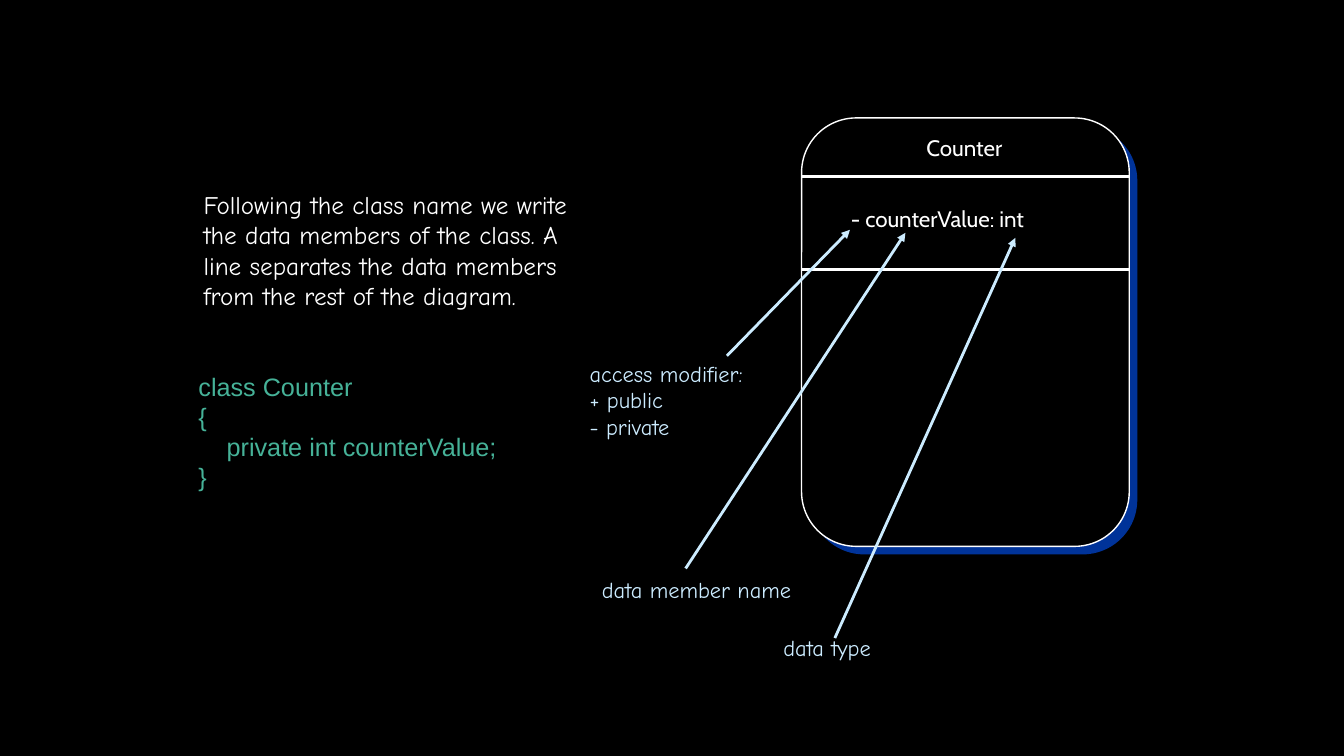
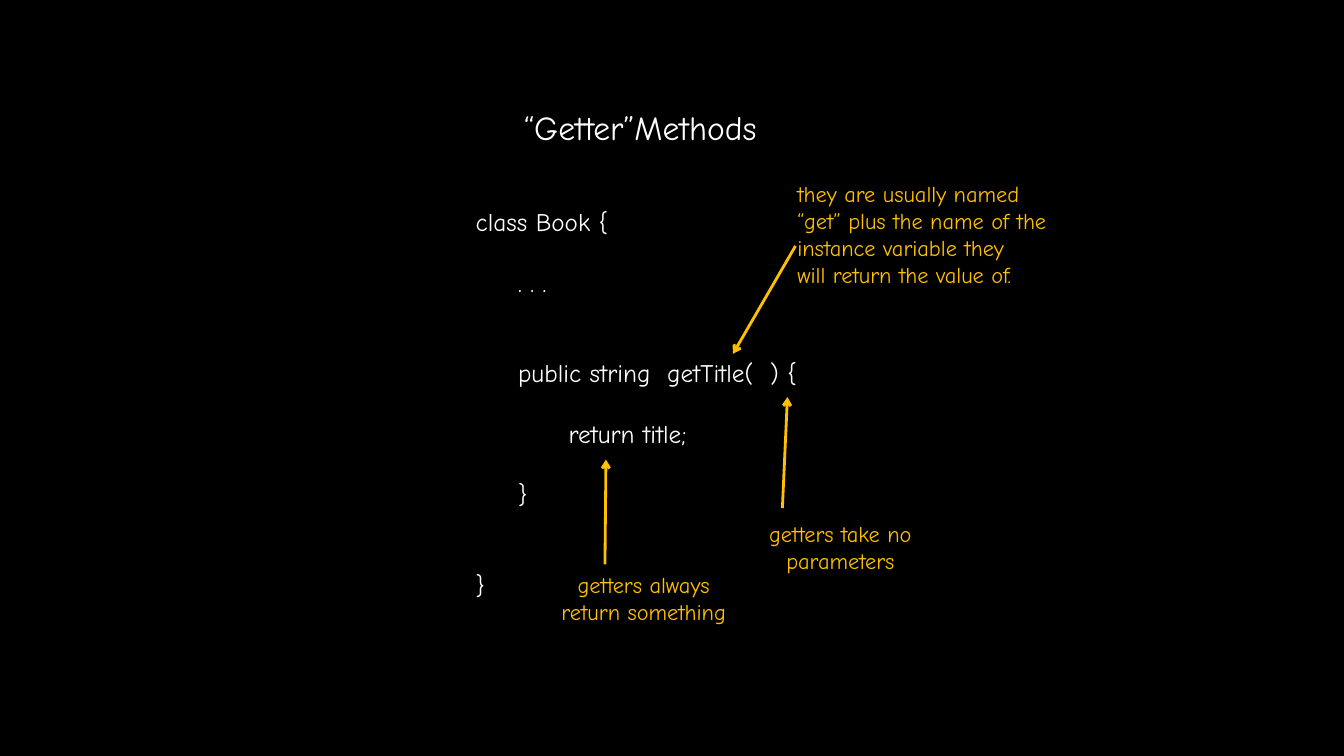
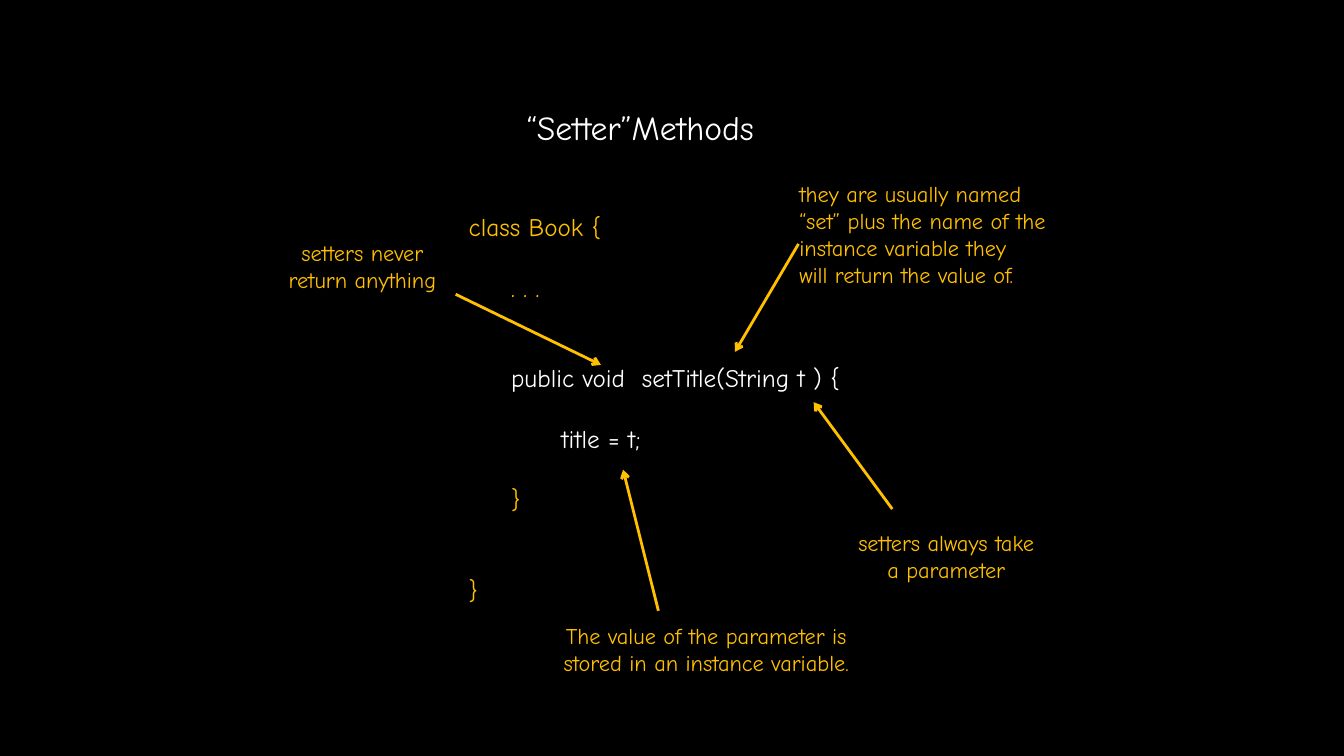
import pptx
import pptx.util
import pptx.dml.color
import pptx.enum.shapes
import pptx.enum.text
import pptx.oxml.ns
from lxml import etree

Inches = pptx.util.Inches
Pt = pptx.util.Pt
SHAPES = pptx.enum.shapes.MSO_SHAPE
CENTER = pptx.enum.text.PP_ALIGN.CENTER

BLACK, WHITE, SHADE = "000000", "FFFFFF", "003399"
PALE_BLUE, AMBER, GREEN = "CCECFF", "FFC000", "46B298"
PROSE, LABEL, CODE = "Comic Neue", "Cabin", "Arial"
CODE_LINE = 21.6
MEMBER_INDENT, BODY_INDENT = 0.42, 0.92


def rgb(color):
    return pptx.dml.color.RGBColor.from_string(color)


def add_text(slide, at, lines, color, size=16, font=PROSE, align=None):
    frame = slide.shapes.add_textbox(*map(Inches, at)).text_frame
    frame.text = "\n".join(lines)
    frame.word_wrap = False
    frame.auto_size = pptx.enum.text.MSO_AUTO_SIZE.SHAPE_TO_FIT_TEXT
    for paragraph in frame.paragraphs:
        paragraph.alignment = align
        for run in paragraph.runs:
            run.font.size = Pt(size)
            run.font.name = font
            run.font.color.rgb = rgb(color)
    return frame


def add_code(slide, at, rows, font=PROSE):
    frame = add_text(slide, at, [row[0] for row in rows], WHITE, 18, font)
    for paragraph, (_, indent, skipped, color) in zip(frame.paragraphs, rows):
        paragraph.space_before = Pt(skipped * CODE_LINE)
        properties = paragraph._p.get_or_add_pPr()
        properties.set("marL", str(Inches(indent)))
        properties.set("indent", "0")
        paragraph.runs[0].font.color.rgb = rgb(color)


def add_line(slide, start, end, color, head=None):
    ends = map(Inches, (*start, *end))
    line = slide.shapes.add_connector(pptx.enum.shapes.MSO_CONNECTOR.STRAIGHT, *ends)
    line.line.color.rgb = rgb(color)
    line.line.width = Pt(2)
    if head:
        tail = etree.SubElement(line.line._get_or_add_ln(), pptx.oxml.ns.qn("a:tailEnd"))
        tail.set("type", head)
    etree.SubElement(line._element.spPr, pptx.oxml.ns.qn("a:effectLst"))


def add_card(slide, left, top, fill, outline=None):
    card = slide.shapes.add_shape(
        SHAPES.ROUNDED_RECTANGLE, *map(Inches, (left, top, 3.25, 4.25)))
    card.shadow.inherit = False
    card.fill.solid()
    card.fill.fore_color.rgb = rgb(fill)
    if outline:
        card.line.color.rgb = rgb(outline)
        card.line.width = Pt(1)
    else:
        card.line.fill.background()


def add_slide(deck):
    return deck.slides.add_slide(deck.slide_layouts[6])


def build_class_diagram(deck):
    slide = add_slide(deck)
    add_card(slide, 8.03, 1.25, SHADE)
    add_card(slide, 7.95, 1.17, BLACK, WHITE)
    add_text(slide, (9.09, 1.28, 0.98, 0.37), ["Counter"], WHITE, font=LABEL)
    for divider in (1.75, 2.67):
        add_line(slide, (7.95, divider), (11.2, divider), WHITE)
    add_text(slide, (8.34, 1.99, 2.04, 0.37), ["- counterValue: int"], WHITE, font=LABEL)
    add_text(slide, (1.92, 1.83, 4.15, 1.31), [
        "Following the class name we write",
        "the data members of the class. A",
        "line separates the data members",
        "from the rest of the diagram.",
    ], WHITE, 18)
    callouts = [
        ((5.75, 3.52, 1.9, 0.9), ["access modifier:", "+ public", "- private"],
         (7.21, 3.53), (8.43, 2.28)),
        ((5.87, 5.67, 2.15, 0.37), ["data member name"], (6.8, 5.64), (8.98, 2.31)),
        ((7.67, 6.24, 1.19, 0.37), ["data type"], (8.28, 6.33), (10.07, 2.36)),
    ]
    for at, lines, start, end in callouts:
        add_text(slide, at, lines, PALE_BLUE)
        add_line(slide, start, end, PALE_BLUE, "triangle")
    add_code(slide, (1.87, 3.63, 4.63, 1.31), [
        ("class Counter", 0, 0, GREEN),
        ("{", 0, 0, GREEN),
        ("private int counterValue;", 0.28, 0, GREEN),
        ("}", 0, 0, GREEN),
    ], CODE)


def build_method_slide(deck, kind, signature, body, code_at, frame_color, callouts):
    slide = add_slide(deck)
    add_text(slide, (4.89, 1.01, 2.92, 0.5), [f"“{kind}”Methods"], WHITE, 24, align=CENTER)
    add_code(slide, code_at, [
        ("class Book {", 0, 0, frame_color),
        (". . .", MEMBER_INDENT, 1, frame_color),
        (signature, MEMBER_INDENT, 2, WHITE),
        (body, BODY_INDENT, 1, WHITE),
        ("}", MEMBER_INDENT, 1, frame_color),
        ("}", 0, 2, frame_color),
    ])
    for at, lines, align, start, end in callouts:
        add_text(slide, at, lines, AMBER, align=align)
        add_line(slide, start, end, AMBER, "arrow")


def naming_rule(prefix):
    return [
        "they are usually named",
        f"“{prefix}” plus the name of the",
        "instance variable they",
        "will return the value of.",
    ]


def main():
    deck = pptx.Presentation()
    deck.slide_width, deck.slide_height = Inches(13.33), Inches(7.5)
    backdrop = deck.slide_master.background.fill
    backdrop.solid()
    backdrop.fore_color.rgb = rgb(BLACK)

    build_class_diagram(deck)
    build_method_slide(
        deck, "Getter", "public string  getTitle(  ) {", "return title;",
        (4.62, 2, 3.65, 4.04), WHITE, [
            ((5.38, 5.62, 2.01, 0.64), ["getters always", "return something"], CENTER,
             (6, 5.6), (6.01, 4.56)),
            ((7.81, 1.74, 2.94, 1.18), naming_rule("get"), None,
             (7.89, 2.44), (7.27, 3.51)),
            ((7.39, 5.11, 1.89, 0.64), ["getters take no", "parameters"], CENTER,
             (7.76, 5.04), (7.81, 3.94)),
        ])
    build_method_slide(
        deck, "Setter", "public void  setTitle(String t ) {", "title = t;",
        (4.55, 2.05, 4.29, 4.04), AMBER, [
            ((2.68, 2.32, 1.83, 0.64), ["setters never", "return anything"], CENTER,
             (4.52, 2.92), (5.96, 3.62)),
            ((7.83, 1.74, 2.93, 1.18), naming_rule("set"), None,
             (7.92, 2.42), (7.29, 3.49)),
            ((8.26, 5.2, 2.25, 0.64), ["setters always take", "a parameter"], CENTER,
             (8.85, 5.05), (8.07, 3.99)),
            ((5.34, 6.12, 3.33, 0.64),
             ["The value of the parameter is", "stored in an instance variable."], CENTER,
             (6.53, 6.06), (6.18, 4.66)),
        ])
    deck.save("out.pptx")


if __name__ == "__main__":
    main()
